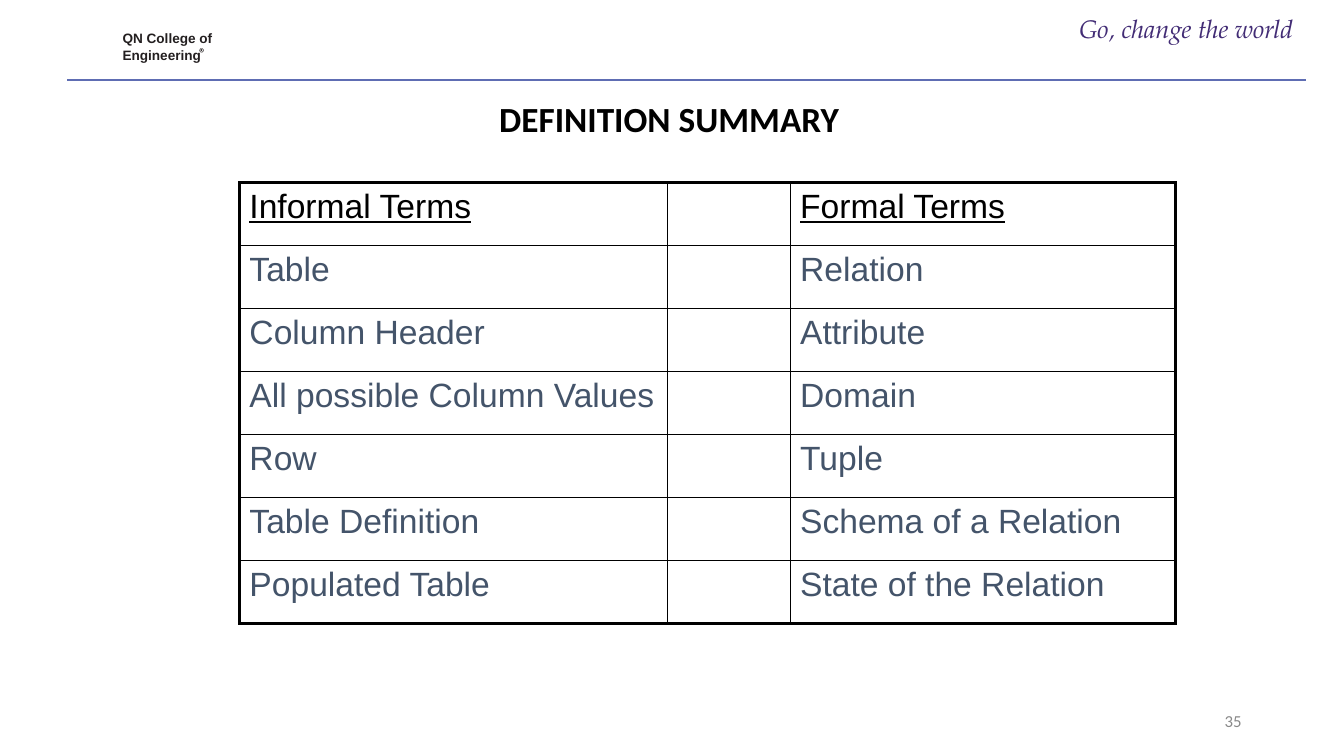
from math import cos, pi, sin

from lxml.etree import SubElement
from pptx import Presentation
from pptx.dml.color import RGBColor
from pptx.enum.shapes import MSO_CONNECTOR
from pptx.enum.text import MSO_ANCHOR, PP_ALIGN
from pptx.oxml.ns import qn
from pptx.util import Pt

COLORS = {"ink": "231F20", "rule": "5E6DB3", "tagline": "422C75", "black": "000000",
          "term": "44546A", "number": "898989"}

TITLE = "DEFINITION SUMMARY"
COLLEGE = ["QN College of", "Engineering"]
TAGLINE = "Go, change the world"
PAGE = "35"
TERMS = [
    ("Informal Terms", "", "Formal Terms"),
    ("Table", "", "Relation"),
    ("Column Header", "", "Attribute"),
    ("All possible Column Values", "", "Domain"),
    ("Row", "", "Tuple"),
    ("Table Definition", "", "Schema of a Relation"),
    ("Populated Table", "", "State of the Relation"),
]
COL_WIDTHS = [305.8, 87.6, 275.4]
ROW_HEIGHT = 45
INNER, OUTER = 1, 2.25

MARK_CENTER = (144, 36)
MARK_RADII = (1.5, 1.2)
# Offsets from the mark's centre: stem, bowl and leg of the letter, then its counter
MARK_LETTER = [
    [(-0.6, -0.8), (0.3, -0.8), (0.6, -0.4), (0.2, 0.1), (0.7, 0.8), (0.4, 0.8),
     (-0.1, 0.1), (-0.3, 0.1), (-0.3, 0.8), (-0.6, 0.8)],
    [(-0.3, -0.6), (-0.3, -0.1), (0.1, -0.1), (0.3, -0.4), (0.1, -0.6)],
]


def rgb(name):
    return RGBColor.from_string(COLORS[name])


def style(p, font, size, color, bold=False, italic=False, underline=False):
    for r in p.runs:
        f = r.font
        f.name, f.size, f.color.rgb = font, Pt(size), rgb(color)
        f.bold, f.italic, f.underline = bold, italic, underline


def add_text(s, box, lines, font, size, color, align=PP_ALIGN.LEFT,
             anchor=MSO_ANCHOR.TOP, spacing=None, before=0, **marks):
    tf = s.shapes.add_textbox(*map(Pt, box)).text_frame
    tf.word_wrap = True
    tf.vertical_anchor = anchor
    tf.margin_left = tf.margin_right = tf.margin_top = tf.margin_bottom = Pt(0.8)
    tf.text = "\n".join(lines)
    for p in tf.paragraphs:
        p.alignment = align
        p.space_before = Pt(before)
        if spacing:
            p.line_spacing = Pt(spacing)
        style(p, font, size, color, **marks)
    return tf


def add_outline(s, contours):
    """Draw closed contours, given as offsets from the mark's centre, as one shape."""
    cx, cy = MARK_CENTER
    placed = [[(Pt(cx + x), Pt(cy + y)) for x, y in c] for c in contours]
    builder = s.shapes.build_freeform(*placed[0][0])
    for i, points in enumerate(placed):
        if i:
            builder.move_to(*points[0])
        builder.add_line_segments(points[1:], close=True)
    shape = builder.convert_to_shape()
    shape.shadow.inherit = False
    shape.fill.solid()
    shape.fill.fore_color.rgb = rgb("ink")
    shape.line.fill.background()


def add_registered_mark(s):
    angles = [k * pi / 8 for k in range(16)]
    add_outline(s, [[(r * cos(a), r * sin(a)) for a in angles] for r in MARK_RADII])
    add_outline(s, MARK_LETTER)


def add_border(cell, side, width):
    ln = SubElement(cell._tc.get_or_add_tcPr(), qn(f"a:ln{side}"), w=str(Pt(width)))
    fill = SubElement(ln, qn("a:solidFill"))
    SubElement(fill, qn("a:srgbClr"), val=COLORS["black"])


def add_terms(s):
    rows, cols = len(TERMS), len(COL_WIDTHS)
    table = s.shapes.add_table(rows, cols, Pt(171), Pt(130.5), Pt(sum(COL_WIDTHS)),
                               Pt(rows * ROW_HEIGHT)).table
    table.first_row = table.horz_banding = False
    for column, width in zip(table.columns, COL_WIDTHS):
        column.width = Pt(width)
    for i, terms in enumerate(TERMS):
        table.rows[i].height = Pt(ROW_HEIGHT)
        for j, term in enumerate(terms):
            cell = table.cell(i, j)
            edges = {"L": j == 0, "R": j == cols - 1, "T": i == 0, "B": i == rows - 1}
            for side, outer in edges.items():
                add_border(cell, side, OUTER if outer else INNER)
            cell.fill.background()
            cell.text_frame.text = term
            header = i == 0
            style(cell.text_frame.paragraphs[0], "Arial", 24,
                  "black" if header else "term", underline=header)


def main():
    prs = Presentation()
    prs.slide_width, prs.slide_height = Pt(960), Pt(540)
    s = prs.slides.add_slide(prs.slide_layouts[5])

    title = s.shapes.title
    title.left, title.top, title.width, title.height = map(Pt, (64, 64.8, 828, 39.6))
    tf = title.text_frame
    tf.text = TITLE
    tf.vertical_anchor = MSO_ANCHOR.MIDDLE
    tf.paragraphs[0].alignment = PP_ALIGN.CENTER
    style(tf.paragraphs[0], "Calibri", 25.2, "black", bold=True)

    add_registered_mark(s)
    add_text(s, (86.7, 21.3, 68, 24), COLLEGE, "Arial", 9.7, "ink",
             spacing=10.8, before=1.5, bold=True)
    add_text(s, (770, 8.6, 164, 44), [TAGLINE], "TeX Gyre Pagella", 18.2, "tagline",
             italic=True)
    add_text(s, (678, 500.4, 216, 28.8), [PAGE], "Calibri", 12, "number",
             align=PP_ALIGN.RIGHT, anchor=MSO_ANCHOR.MIDDLE).margin_right = Pt(7.2)

    rule = s.shapes.add_connector(MSO_CONNECTOR.STRAIGHT, Pt(48), Pt(57), Pt(933), Pt(57))
    rule.line.color.rgb = rgb("rule")
    rule.line.width = Pt(1.25)
    SubElement(rule._element.spPr, qn("a:effectLst"))

    add_terms(s)
    prs.save("out.pptx")


if __name__ == "__main__":
    main()
